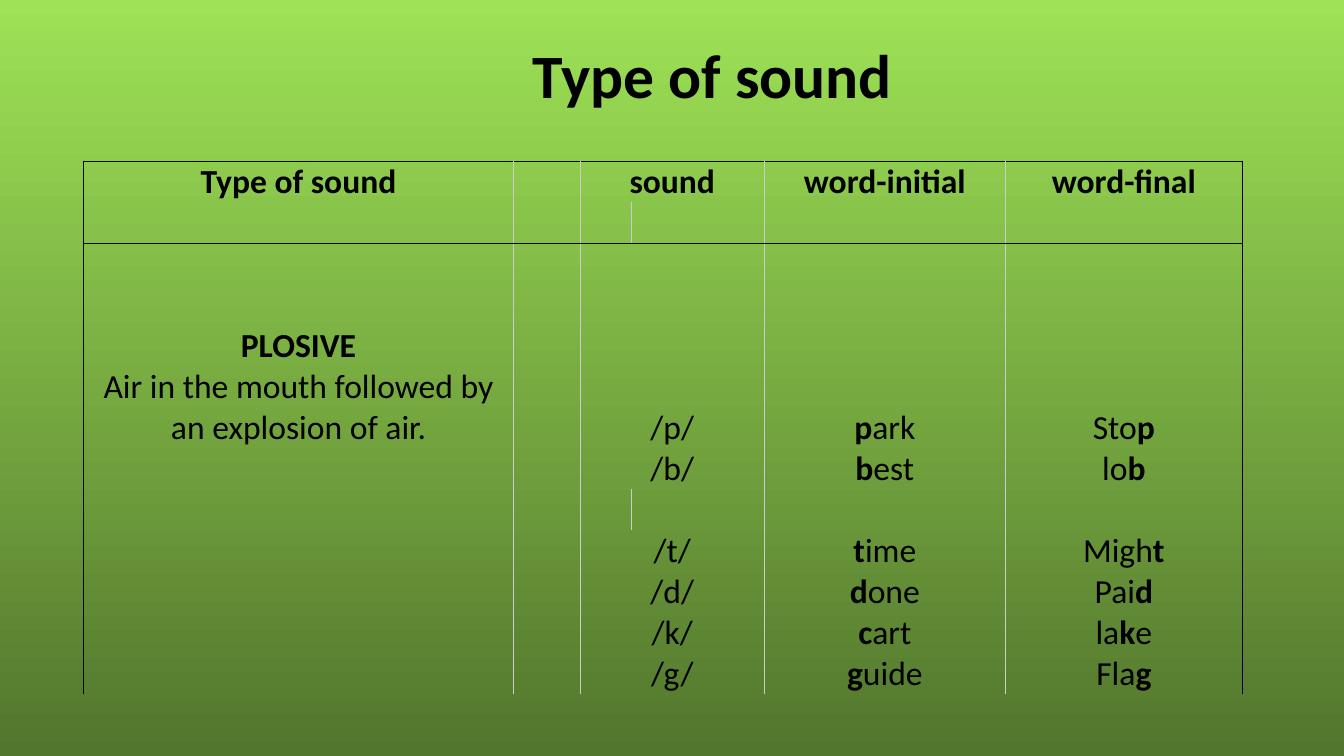
from pptx import Presentation
from pptx.dml.color import RGBColor
from pptx.enum.text import MSO_ANCHOR, PP_ALIGN
from pptx.oxml.ns import qn
from pptx.util import Pt
from lxml.etree import SubElement

COLORS = {"top": "9EE256", "bottom": "52762D", "text": "000000",
          "frame": "00000A", "divider": "CCCCCC"}
BODY = {"name": "Calibri", "size": Pt(24), "bold": False}
BOLD = {**BODY, "bold": True}
TITLE = {**BOLD, "size": Pt(44)}
NO_STYLE = "{2D5ABB26-0587-4C30-8999-92F81FD0307C}"

COLUMN_WIDTHS = [307.3, 47.5, 36.7, 95, 172, 169.5]
LINE_HEIGHT = 29.3
ROW_LINES = [1, 1, 5, 1, 1, 1, 1, 1, 1]
HEADER_ROWS = 2
SOUND, INITIAL, FINAL = 2, 4, 5

# Row number: sound, word-initial example, word-final example; * marks bold.
EXAMPLES = {
    0: ("*sound*", "*word-initial*", "*word-final*"),
    2: ("/p/", "*p*ark", "Sto*p*"),
    3: ("/b/", "*b*est", "lo*b*"),
    5: ("/t/", "*t*ime", "Migh*t*"),
    6: ("/d/", "*d*one", "Pai*d*"),
    7: ("/k/", "*c*art", "la*k*e"),
    8: ("/g/", "*g*uide", "Fla*g*"),
}


def add_span(para, text, style):
    span = para.add_run()
    span.text = text
    for name, value in style.items():
        setattr(span.font, name, value)
    span.font.color.rgb = RGBColor.from_string(COLORS["text"])


def paint_background(page):
    fill = page.background.fill
    fill.gradient()
    fill.gradient_angle = 270
    for stop, name in zip(fill.gradient_stops, ("top", "bottom")):
        stop.color.rgb = RGBColor.from_string(COLORS[name])


def add_title(page, text):
    box = page.shapes.add_textbox(Pt(66), Pt(28.8), Pt(828), Pt(104.4))
    frame = box.text_frame
    frame.word_wrap = True
    frame.vertical_anchor = MSO_ANCHOR.TOP
    frame.margin_left = Pt(314.7)
    para = frame.paragraphs[0]
    para.line_spacing = 0.9
    add_span(para, text, TITLE)


def write_cell(cell, *lines):
    """Write centred lines, with the parts between asterisks in bold."""
    frame = cell.text_frame
    for number, line in enumerate(lines):
        para = frame.add_paragraph() if number else frame.paragraphs[0]
        para.alignment = PP_ALIGN.CENTER
        for index, part in enumerate(line.split("*")):
            if part:
                add_span(para, part, BOLD if index % 2 else BODY)


def set_border(cell, side, color):
    properties = cell._tc.get_or_add_tcPr()
    line = SubElement(properties, qn(f"a:{side}"), w=str(Pt(1)))
    if color is None:
        SubElement(line, qn("a:noFill"))
    else:
        fill = SubElement(line, qn("a:solidFill"))
        SubElement(fill, qn("a:srgbClr"), val=COLORS[color])


def format_cell(cell, row, column):
    for side in ("left", "right", "top", "bottom"):
        setattr(cell, f"margin_{side}", 0)
    cell.vertical_anchor = MSO_ANCHOR.BOTTOM
    last = len(COLUMN_WIDTHS) - 1
    # A merged cell draws no line between its own columns.
    inside = "divider" if row not in EXAMPLES else None
    left = "frame" if column == 0 else inside if column == SOUND + 1 else "divider"
    right = "frame" if column == last else inside if column == SOUND else "divider"
    set_border(cell, "lnL", left)
    set_border(cell, "lnR", right)
    set_border(cell, "lnT", "frame" if row in (0, HEADER_ROWS) else None)
    set_border(cell, "lnB", "frame" if row == HEADER_ROWS - 1 else None)
    cell.fill.background()


def add_sound_table(page):
    heights = [lines * LINE_HEIGHT for lines in ROW_LINES]
    holder = page.shapes.add_table(
        len(heights), len(COLUMN_WIDTHS), Pt(59.6), Pt(115.2),
        Pt(sum(COLUMN_WIDTHS)), Pt(sum(heights)))
    table = holder.table
    table.first_row = table.horz_banding = False
    table._tbl.tblPr.find(qn("a:tableStyleId")).text = NO_STYLE
    for column, width in zip(table.columns, COLUMN_WIDTHS):
        column.width = Pt(width)
    for number, height in enumerate(heights):
        table.rows[number].height = Pt(height)
        for column in range(len(COLUMN_WIDTHS)):
            format_cell(table.cell(number, column), number, column)

    write_cell(table.cell(0, 0), "*Type of sound*")
    write_cell(table.cell(HEADER_ROWS, 0), "*PLOSIVE*",
               "Air in the mouth followed by an explosion of air.")
    for row, texts in EXAMPLES.items():
        table.cell(row, SOUND).merge(table.cell(row, SOUND + 1))
        for column, text in zip((SOUND, INITIAL, FINAL), texts):
            write_cell(table.cell(row, column), text)


def main():
    deck = Presentation()
    deck.slide_width, deck.slide_height = Pt(960), Pt(540)
    page = deck.slides.add_slide(deck.slide_layouts[6])
    paint_background(page)
    add_title(page, "Type of sound")
    add_sound_table(page)
    deck.save("out.pptx")


if __name__ == "__main__":
    main()
